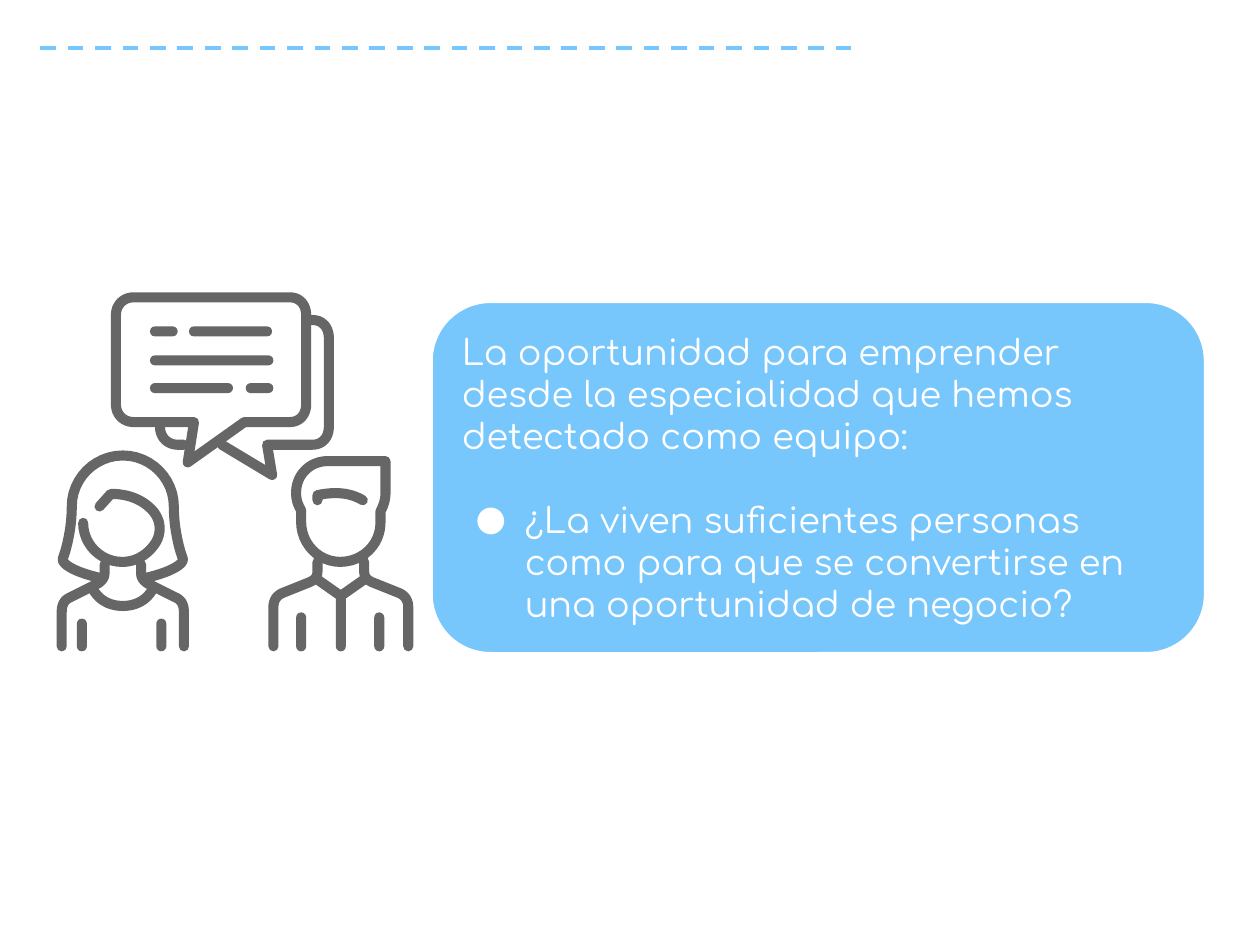
from lxml import etree
from pptx import Presentation
from pptx.dml.color import RGBColor
from pptx.enum.dml import MSO_LINE
from pptx.enum.shapes import MSO_CONNECTOR, MSO_SHAPE
from pptx.enum.text import MSO_ANCHOR, MSO_AUTO_SIZE
from pptx.oxml.ns import qn
from pptx.util import Inches, Pt

ROUND = MSO_SHAPE.ROUNDED_RECTANGLE
LINE = MSO_CONNECTOR.STRAIGHT
DASH = MSO_LINE.DASH
MIDDLE = MSO_ANCHOR.MIDDLE
FIXED = MSO_AUTO_SIZE.NONE
COLS, ROWS = 1000, 750
CELL = Inches(10) // COLS
FONT = "Comfortaa"
BLUE, GRAY, WHITE = "77C6FC", "666666", "FFFFFF"
PEN = 8
STEPS = 12

INTRO = "La oportunidad para emprender desde la especialidad que hemos detectado como equipo:"
ASK = "¿La viven suficientes personas como para que se convertirse en una oportunidad de negocio?"

FRONT = [(106, 236), (230, 236), (238, 236, 243, 242, 243, 250), (243, 321),
         (243, 329, 238, 335, 230, 335), (194, 335), (149, 367), (154, 335),
         (106, 335), (98, 335, 92, 329, 92, 321), (92, 250),
         (92, 242, 98, 236, 106, 236)]
BACK = [(243, 254), (248, 254), (256, 254, 261, 260, 261, 268), (261, 339),
        (261, 347, 256, 353, 248, 353), (212, 353), (216, 377), (176, 353)]
HOOK = [(127, 339), (127, 347, 133, 353, 141, 353), (146, 353)]

HER_AXIS = 97.5
HER_HAIR = [(97.5, 361.5), (75, 361.5, 57, 380, 57, 402),
            (57, 419, 53, 435, 50, 443), (48, 448, 62, 455, 81, 459)]
HER_FACE = [(66, 415), (66, 432, 80, 446, 97, 446),
            (108, 446, 118, 440, 124, 430), (129, 421, 127, 411, 120, 404),
            (112, 396, 101, 392, 88, 392), (79, 402)]
HER_ARM = [(83, 448), (83, 454), (83, 458, 82, 460, 78, 463), (56, 474),
           (51, 476, 49, 480, 49, 486), (49, 513)]
HER_NECK = [(74, 468), (79, 477, 88, 481, 97.5, 481)]

HIS_AXIS = 270.5
HIS_HEAD = [(306, 366), (260, 366), (246, 366, 235, 377, 235, 391),
            (235, 396, 236, 400, 239, 405), (239, 414),
            (239, 432, 253, 446, 270, 446), (288, 446, 302, 432, 302, 415),
            (302, 406), (305, 400, 306, 396, 306, 391), (306, 366)]
HIS_HAIR = [(252, 397), (252, 393), (266, 390, 278, 391, 288, 397)]
HIS_ARM = [(252, 446), (252, 453), (252, 458, 250, 460, 246, 462), (226, 470),
           (220, 472, 217, 476, 217, 482), (217, 513)]
HIS_NECK = [(252, 460), (270.5, 473)]


def color(text):
    return RGBColor.from_string(text)


def cells(*counts):
    return [round(n * CELL) for n in counts]


def cubic(a, b, c, d, t):
    s = 1 - t
    return s**3 * a + 3 * s * s * t * b + 3 * s * t * t * c + t**3 * d


def trace(path):
    spots = [path[0]]
    for step in path[1:]:
        if len(step) == 2:
            spots.append(step)
            continue
        x, y = spots[-1]
        for i in range(1, STEPS + 1):
            t = i / STEPS
            spots.append((cubic(x, *step[0::2], t), cubic(y, *step[1::2], t)))
    return spots


def stroke(slide, spots):
    (x, y), *rest = [cells(*spot) for spot in spots]
    pen = slide.shapes.build_freeform(x, y)
    pen.add_line_segments(rest, close=spots[0] == spots[-1])
    shape = pen.convert_to_shape()
    shape.shadow.inherit = False
    shape.fill.background()
    shape.line.color.rgb = color(GRAY)
    shape.line.width = PEN * CELL
    edge = shape.element.spPr.find(qn("a:ln"))
    edge.set("cap", "rnd")
    etree.SubElement(edge, qn("a:round"))


def mirror(slide, path, axis):
    spots = trace(path)
    flip = [(2 * axis - x, y) for x, y in spots]
    if spots[0][0] == axis:
        stroke(slide, spots[::-1] + flip[1:])
    elif spots[-1][0] == axis:
        stroke(slide, spots + flip[-2::-1])
    else:
        stroke(slide, spots)
        stroke(slide, flip)


def block(slide, x, y, w, h, fill, bend):
    shape = slide.shapes.add_shape(ROUND, *cells(x, y, w, h))
    shape.adjustments[0] = bend
    shape.shadow.inherit = False
    shape.fill.solid()
    shape.fill.fore_color.rgb = color(fill)
    shape.line.fill.background()
    return shape


def icon(slide):
    for path in (BACK, HOOK, FRONT, HER_FACE, HIS_HEAD, HIS_HAIR):
        stroke(slide, trace(path))
    for path in (HER_HAIR, HER_ARM, HER_NECK):
        mirror(slide, path, HER_AXIS)
    for path in (HIS_ARM, HIS_NECK):
        mirror(slide, path, HIS_AXIS)
    for x, y, w in ((119, 259, 22), (150, 259, 66), (119, 282, 98),
                    (119, 304, 66), (195, 304, 22)):
        block(slide, x, y, w, PEN, GRAY, 0.5)
    for x, y in ((61, 491), (124, 491), (235, 486), (297, 486), (266.5, 470)):
        block(slide, x, y, PEN, 517 - y, GRAY, 0.5)


def rule(slide, x, y, end):
    line = slide.shapes.add_connector(LINE, *cells(x, y, end, y))
    line.line.color.rgb = color(BLUE)
    line.line.width = Pt(2.25)
    line.line.dash_style = DASH
    etree.SubElement(line._element.spPr, qn("a:effectLst"))


def bullet(para, mark, left, hang):
    props = para._p.get_or_add_pPr()
    props.set("marL", str(Inches(left)))
    props.set("indent", str(Inches(hang)))
    if mark:
        tint = etree.SubElement(props, qn("a:buClr"))
        etree.SubElement(tint, qn("a:srgbClr")).set("val", WHITE)
        etree.SubElement(props, qn("a:buFont")).set("typeface", FONT)
        etree.SubElement(props, qn("a:buChar")).set("char", mark)
    else:
        etree.SubElement(props, qn("a:buNone"))


def body(slide, x, y, w, h):
    box = slide.placeholders[1]
    box.left, box.top, box.width, box.height = cells(x, y, w, h)
    frame = box.text_frame
    frame.word_wrap = True
    frame.auto_size = FIXED
    frame.vertical_anchor = MIDDLE
    frame.margin_left = frame.margin_right = Inches(0.1)
    frame.margin_top = frame.margin_bottom = Inches(0.1)
    frame.text = INTRO + "\n" + ASK
    looks = ((None, 0, 0, 0), ("●", 0.5, -0.39, 24))
    for para, (mark, left, hang, gap) in zip(frame.paragraphs, looks):
        bullet(para, mark, left, hang)
        para.space_before = Pt(gap)
        para.font.name = FONT
        para.font.size = Pt(20)
        para.font.color.rgb = color(WHITE)


def main():
    deck = Presentation()
    deck.slide_width, deck.slide_height = cells(COLS, ROWS)
    slide = deck.slides.add_slide(deck.slide_layouts[1])
    title = slide.shapes.title.element
    title.getparent().remove(title)
    icon(slide)
    panel = block(slide, 343, 240, 613, 278, BLUE, 0.167)
    panel.line.color.rgb = color(WHITE)
    panel.line.width = Pt(0.75)
    panel.element.addnext(slide.placeholders[1].element)
    body(slide, 356.5, 253.5, 586, 251)
    rule(slide, 32, 38, 676)
    deck.save("out.pptx")


if __name__ == "__main__":
    main()
